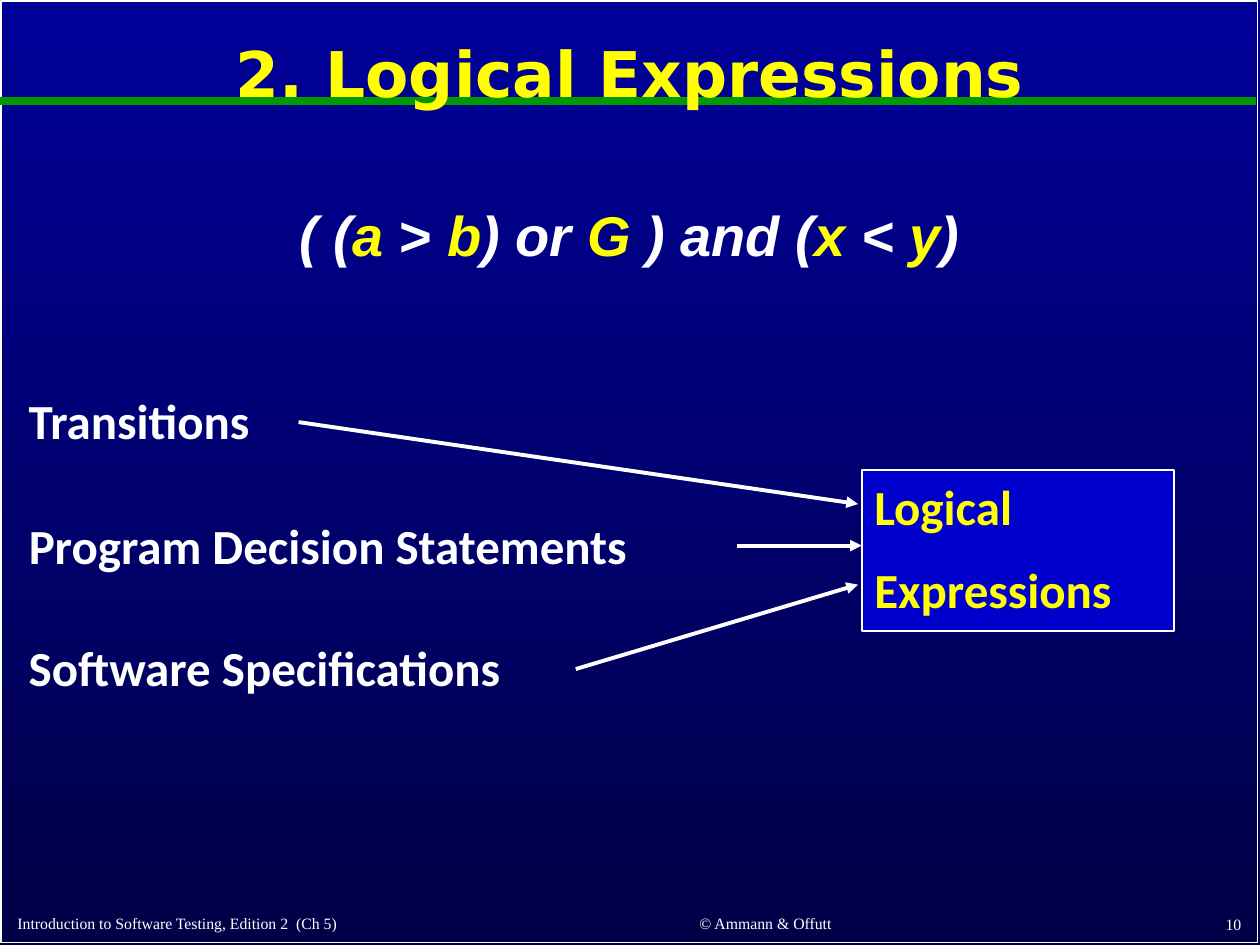
"""Build the slide on where logical expressions come from."""
from lxml.etree import SubElement
from pptx import Presentation
from pptx.dml.color import RGBColor
from pptx.enum.shapes import MSO_CONNECTOR as Link, MSO_SHAPE as Shape
from pptx.enum.text import MSO_ANCHOR as Anchor, PP_ALIGN as Align
from pptx.oxml.ns import qn
from pptx.util import Inches, Pt

WHITE, YELLOW, GREEN, BLUE = "FFFFFF", "FFFF00", "009900", "0000CC"
SKY = ["000099", "000047"]
TITLE = "2. Logical Expressions"
TERMS = [("( (", WHITE), ("a ", YELLOW), ("> ", WHITE), ("b", YELLOW),
         (") or ", WHITE), ("G", YELLOW), (" ) and (", WHITE),
         ("x", YELLOW), (" < ", WHITE), ("y", YELLOW), (")", WHITE)]
SOURCES = [("Transitions", 3.05, 2.63),
           ("Program Decision Statements", 4.04, 6.18),
           ("Software Specifications", 5.01, 4.9)]
TARGET = ["Logical", "Expressions"]
ARROWS = [((5.85, 4.33), (6.84, 4.33)),
          ((2.37, 3.35), (6.81, 4)),
          ((4.57, 5.31), (6.81, 4.64))]
FOOTER = [("Introduction to Software Testing, Edition 2  (Ch 5)",
           (0.04, 7.18, 4.2, 0.27), Align.LEFT),
          ("© Ammann & Offutt", (4.49, 7.17, 3.17, 0.28), Align.CENTER),
          ("10", (7.87, 7.17, 2.08, 0.29), Align.RIGHT)]


def color(code):
    return RGBColor.from_string(code)


def style(font, name, size, code, bold=True):
    font.name, font.size, font.bold = name, Pt(size), bold
    font.color.rgb = color(code)


def write(shape, lines, look, align=Align.LEFT, anchor=Anchor.TOP):
    frame = shape.text_frame
    frame.word_wrap = True
    frame.vertical_anchor = anchor
    frame.text = "\n".join(lines)
    for para in frame.paragraphs:
        para.alignment = align
        style(para.font, *look)
    return frame


def add_text(slide, area, lines, *look):
    box = slide.shapes.add_textbox(*map(Inches, area))
    return write(box, lines, *look)


def add_rect(slide, area, fill=None):
    rect = slide.shapes.add_shape(Shape.RECTANGLE, *map(Inches, area))
    rect.shadow.inherit = False
    if fill:
        rect.fill.solid()
        rect.fill.fore_color.rgb = color(fill)
    else:
        rect.fill.background()
    rect.line.color.rgb = color(WHITE)
    rect.line.width = Pt(1)
    return rect


def add_line(slide, start, end, code, width, arrow=False):
    line = slide.shapes.add_connector(
        Link.STRAIGHT, *map(Inches, (*start, *end)))
    line.line.color.rgb = color(code)
    line.line.width = Pt(width)
    if arrow:
        SubElement(line.line._get_or_add_ln(), qn("a:tailEnd"), type="triangle")
    SubElement(line._element.spPr, qn("a:effectLst"))


def main():
    deck = Presentation()
    deck.slide_width, deck.slide_height = Inches(10), Inches(7.5)
    slide = deck.slides.add_slide(deck.slide_layouts[6])

    fill = slide.background.fill
    fill.gradient()
    fill.gradient_angle = 270
    for stop, code, place in zip(fill.gradient_stops, SKY, (0, 1)):
        stop.color.rgb = color(code)
        stop.position = place

    add_rect(slide, (0.01, 0.01, 9.97, 7.47))
    add_line(slide, (0, 0.8), (9.97, 0.8), GREEN, 4.5)
    for text, area, align in FOOTER:
        add_text(slide, area, [text], ("Times New Roman", 9, WHITE, False),
                 align, Anchor.BOTTOM)

    title = add_text(slide, (0.05, 0.11, 9.9, 1), [TITLE],
                     ("DejaVu Sans", 36, YELLOW), Align.CENTER, Anchor.MIDDLE)
    title.paragraphs[0].line_spacing = 0.9

    formula = add_text(slide, (1.33, 1.54, 7.33, 0.63), [""],
                       ("Arial", 32, WHITE), Align.CENTER).paragraphs[0]
    formula.font.italic = True
    for text, code in TERMS:
        run = formula.add_run()
        run.text = text
        run.font.color.rgb = color(code)

    for text, top, width in SOURCES:
        add_text(slide, (0.13, top, width, 0.57), [text],
                 ("Calibri", 28, WHITE))

    target = write(add_rect(slide, (6.84, 3.73, 2.48, 1.28), BLUE), TARGET,
                   ("Calibri", 28, YELLOW))
    target.paragraphs[1].space_before = Pt(14)
    for start, end in ARROWS:
        add_line(slide, start, end, WHITE, 2.25, arrow=True)

    deck.save("out.pptx")


if __name__ == "__main__":
    main()
